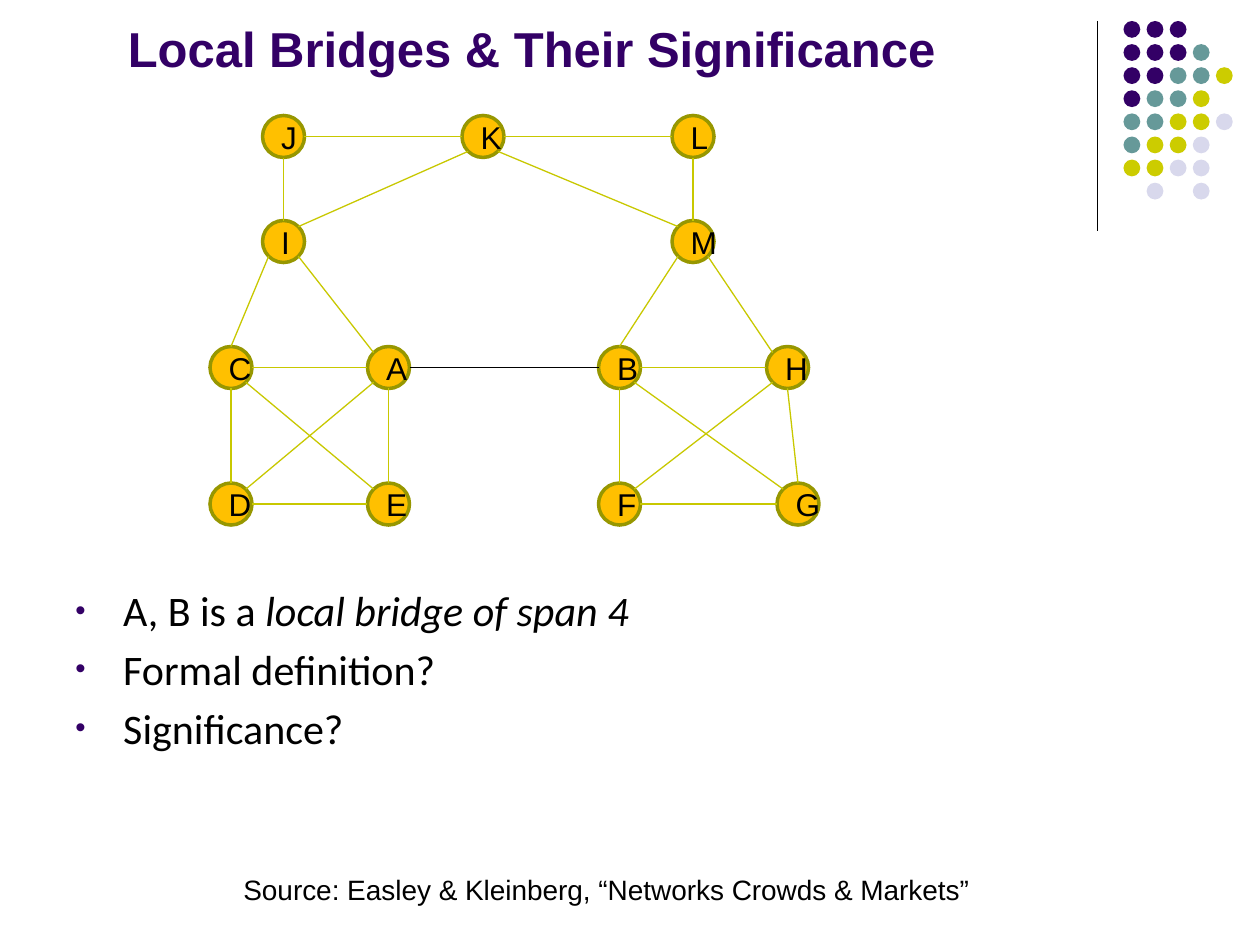
"""Build a slide on local bridges in a network, on a grid of 120 by 90 cells."""
import math
from dataclasses import dataclass

import pptx
import pptx.dml.color
import pptx.enum.shapes
import pptx.enum.text
import pptx.util
from lxml import etree
from pptx.oxml.ns import qn

CELL = pptx.util.Inches(10) // 120
OVAL = pptx.enum.shapes.MSO_SHAPE.OVAL
STRAIGHT = pptx.enum.shapes.MSO_CONNECTOR.STRAIGHT
ANCHOR = pptx.enum.text.MSO_ANCHOR


@dataclass(frozen=True)
class Theme:
    """Colours, fonts and type sizes of the slide."""
    ink: str = "000000"
    accent: str = "330066"
    node: str = "FFC000"
    rim: str = "979700"
    edge: str = "C8C800"
    dots: tuple = ("330066", "669999", "CCCC00", "D8D8EC")
    head_font: str = "Arial"
    body_font: str = "Calibri"
    title: int = 28
    body: int = 24
    label: int = 18
    source: int = 16
    rim_width: float = 2
    line_width: float = 0.75


THEME = Theme()

NODES = {
    "J": (7, 2), "K": (26, 2), "L": (46, 2),
    "I": (7, 12), "M": (46, 12),
    "C": (2, 24), "A": (17, 24), "B": (39, 24), "H": (55, 24),
    "D": (2, 37), "E": (17, 37), "F": (39, 37), "G": (56, 37),
}
EDGES = {
    ("e", "w"): "JK KL CA AB BH DE FG",
    ("s", "n"): "JI LM CD AE BF HG",
    ("sw", "ne"): "KI AD HF",
    ("se", "nw"): "KM IA MH CE BG",
    ("sw", "n"): "IC MB",
}
BRIDGE = "AB"
DIAGONAL = math.sqrt(0.5)
COMPASS = {
    "n": (0, -1), "e": (1, 0), "s": (0, 1), "w": (-1, 0),
    "ne": (DIAGONAL, -DIAGONAL), "se": (DIAGONAL, DIAGONAL),
    "sw": (-DIAGONAL, DIAGONAL), "nw": (-DIAGONAL, -DIAGONAL),
}
DOT_ROWS = ("000", "0001", "00112", "0112", "11223", "1223", "2233", " 3 3")


def rgb(value):
    """Return a colour object for a hex string."""
    return pptx.dml.color.RGBColor.from_string(value)


def cells(*values):
    """Turn grid cells into lengths."""
    return [round(v * CELL) for v in values]


def add_run(p, text, font, size, color, bold=None, italic=None):
    """Add one styled run to a paragraph."""
    r = p.add_run()
    r.text = text
    r.font.name = font
    r.font.size = pptx.util.Pt(size)
    r.font.color.rgb = rgb(color)
    r.font.bold, r.font.italic = bold, italic


def add_line(shapes, start, end, color):
    """Draw a thin straight line without a shadow."""
    line = shapes.add_connector(STRAIGHT, *cells(*start, *end))
    line.line.color.rgb = rgb(color)
    line.line.width = pptx.util.Pt(THEME.line_width)
    etree.SubElement(line._element.spPr, qn("a:effectLst"))


def add_circle(shapes, x, y, size, fill, rim=None):
    """Draw a flat circle, with a rim if a colour is given."""
    sp = shapes.add_shape(OVAL, *cells(x, y, size, size))
    sp.shadow.inherit = False
    sp.fill.solid()
    sp.fill.fore_color.rgb = rgb(fill)
    if rim:
        sp.line.color.rgb = rgb(rim)
        sp.line.width = pptx.util.Pt(THEME.rim_width)
    else:
        sp.line.fill.background()
    return sp


def add_text_frame(s, box, anchor=ANCHOR.TOP, wrap=True):
    """Add a text box and return its frame."""
    tf = s.shapes.add_textbox(*cells(*box)).text_frame
    tf.word_wrap = wrap
    tf.vertical_anchor = anchor
    return tf


def add_ornament(s, box):
    """Draw the rule and the dot pattern in the corner."""
    x, y, _, height = box
    add_line(s.shapes, (x, y), (x, y + height), THEME.ink)
    group = s.shapes.add_group_shape()
    for row, marks in enumerate(DOT_ROWS):
        for column, mark in enumerate(marks):
            if mark != " ":
                add_circle(group.shapes, x + 2.5 + 2.2 * column, y + 2.2 * row,
                           1.6, THEME.dots[int(mark)])


def add_title(s, box, text):
    """Place the title on the bottom of its box."""
    tf = add_text_frame(s, box, ANCHOR.BOTTOM)
    add_run(tf.paragraphs[0], text, THEME.head_font, THEME.title, THEME.accent, bold=True)


def add_network(s, box, radius=2):
    """Draw the labelled nodes and the edges between them."""
    left, top = box[:2]
    centres = {name: (left + x, top + y) for name, (x, y) in NODES.items()}
    for name, (x, y) in centres.items():
        sp = add_circle(s.shapes, x - radius, y - radius, 2 * radius, THEME.node, THEME.rim)
        tf = sp.text_frame
        tf.vertical_anchor = ANCHOR.MIDDLE
        p = tf.paragraphs[0]
        p.alignment = pptx.enum.text.PP_ALIGN.CENTER
        add_run(p, name, THEME.head_font, THEME.label, THEME.ink)
    for sides, pairs in EDGES.items():
        for pair in pairs.split():
            ends = [[c + radius * d for c, d in zip(centres[name], COMPASS[side])]
                    for name, side in zip(pair, sides)]
            add_line(s.shapes, *ends, THEME.ink if pair == BRIDGE else THEME.edge)


def add_bullet(p):
    """Give a paragraph a hanging round bullet."""
    pPr = p._p.get_or_add_pPr()
    pPr.set("marL", str(pptx.util.Inches(0.38)))
    pPr.set("indent", str(-pptx.util.Inches(0.38)))
    color = etree.SubElement(pPr, qn("a:buClr"))
    etree.SubElement(color, qn("a:srgbClr"), val=THEME.accent)
    etree.SubElement(pPr, qn("a:buSzPct"), val="70000")
    etree.SubElement(pPr, qn("a:buFont"), typeface=THEME.head_font)
    etree.SubElement(pPr, qn("a:buChar"), char="•")


def add_points(s, box, points):
    """List the points, each made of a plain and an italic part."""
    tf = add_text_frame(s, box)
    for i, (plain, italic) in enumerate(points):
        p = tf.add_paragraph() if i else tf.paragraphs[0]
        p.space_before = pptx.util.Pt(0.2 * THEME.body)
        add_bullet(p)
        add_run(p, plain, THEME.body_font, THEME.body, THEME.ink)
        if italic:
            add_run(p, italic, THEME.body_font, THEME.body, THEME.ink, italic=True)


def add_source(s, box, text):
    """Name the source on one line."""
    tf = add_text_frame(s, box, wrap=False)
    tf.auto_size = pptx.enum.text.MSO_AUTO_SIZE.SHAPE_TO_FIT_TEXT
    add_run(tf.paragraphs[0], text, THEME.head_font, THEME.source, THEME.ink)


def main():
    """Build and save the slide."""
    prs = pptx.Presentation()
    prs.slide_width, prs.slide_height = cells(120, 90)
    s = prs.slides.add_slide(prs.slide_layouts[6])
    add_ornament(s, (104.5, 2, 13, 20))
    add_network(s, (20, 11, 58, 39))
    add_title(s, (11, -9, 99, 17), "Local Bridges & Their Significance")
    add_points(s, (6, 55.1, 108, 57.8), (
        ("A, B is a ", "local bridge of span 4"),
        ("Formal definition?", ""),
        ("Significance?", ""),
    ))
    add_source(s, (22, 82.5, 72.5, 4.4),
               "Source: Easley & Kleinberg, “Networks Crowds & Markets”")
    prs.save("out.pptx")


if __name__ == "__main__":
    main()
